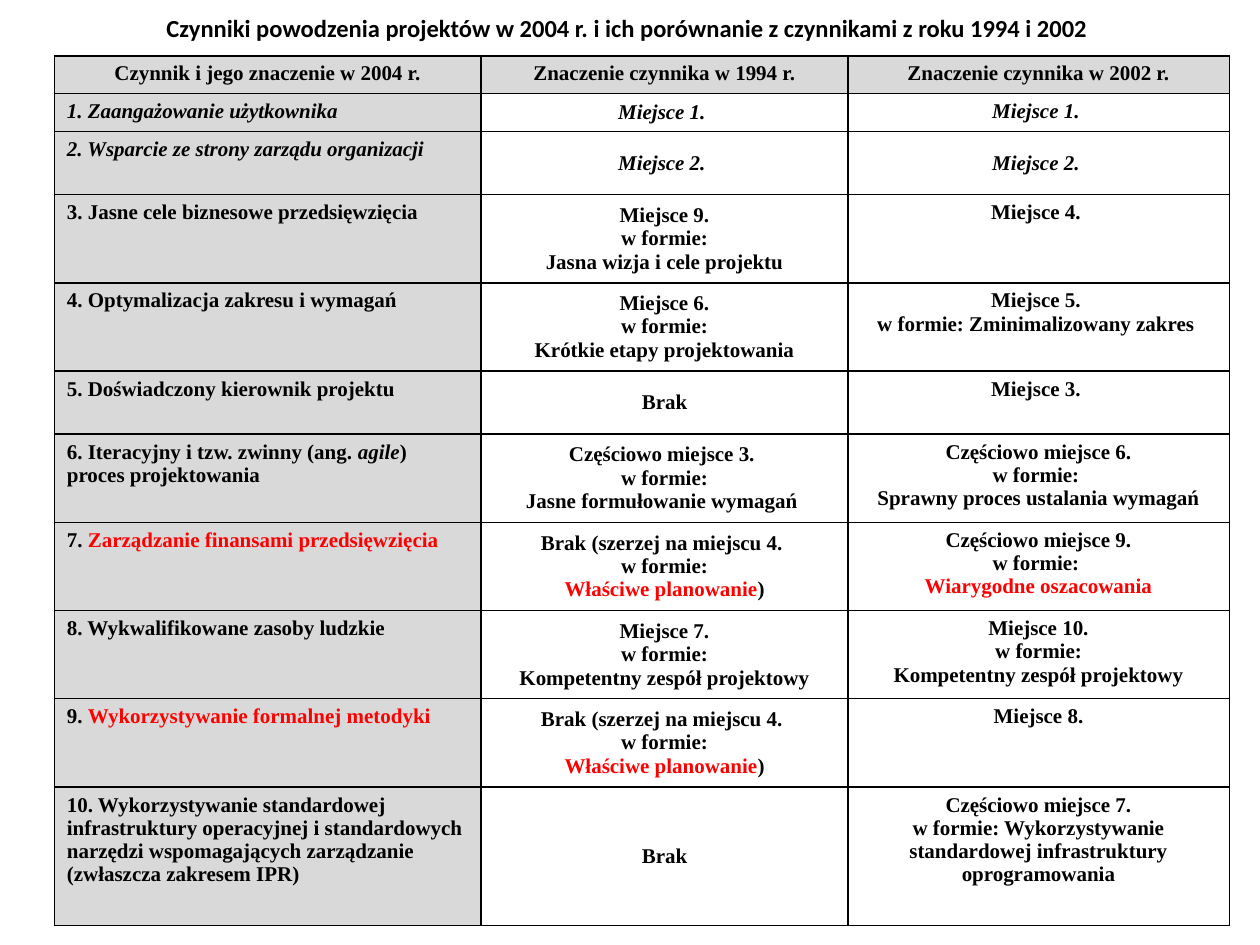
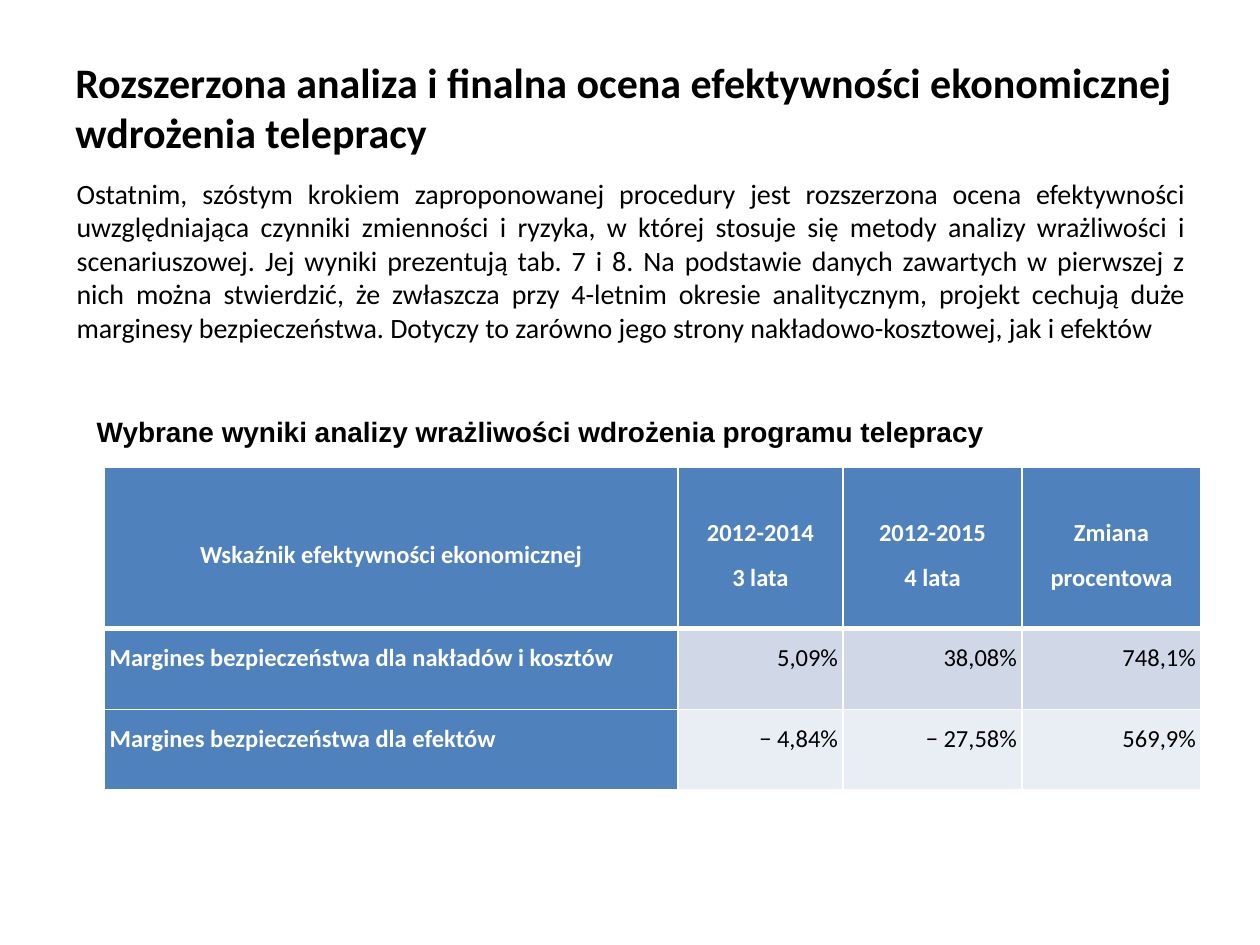
from pptx import Presentation
from pptx.dml.color import RGBColor
from pptx.enum.text import MSO_ANCHOR, PP_ALIGN
from pptx.oxml.ns import qn
from pptx.util import Pt
from lxml import etree

TOP, MIDDLE = MSO_ANCHOR.TOP, MSO_ANCHOR.MIDDLE
LEFT, CENTER, RIGHT, JUSTIFY = PP_ALIGN.LEFT, PP_ALIGN.CENTER, PP_ALIGN.RIGHT, PP_ALIGN.JUSTIFY
BLACK = RGBColor(0x00, 0x00, 0x00)
WHITE = RGBColor(0xFF, 0xFF, 0xFF)
RED = RGBColor(0xFF, 0x00, 0x00)
GREY = RGBColor(0xD9, 0xD9, 0xD9)
BLUE = RGBColor(0x4F, 0x81, 0xBD)
BAND_FILLS = [RGBColor(0xD0, 0xD8, 0xE8), RGBColor(0xE9, 0xED, 0xF4)]
BLANK_LAYOUT = 6

# In factor texts, *...* is italic, ^...^ is red and a line break starts a paragraph.
FACTORS_TITLE = "Czynniki powodzenia projektów w 2004 r. i ich porównanie z czynnikami z roku 1994 i 2002 "
FACTORS = [
    ("Czynnik i jego znaczenie w 2004 r.", "Znaczenie czynnika w 1994 r.",
     "Znaczenie czynnika w 2002 r."),
    ("*1. Zaangażowanie użytkownika*", "*Miejsce 1. *", "*Miejsce 1. *"),
    ("*2. Wsparcie ze strony zarządu organizacji*", "*Miejsce 2. *", "*Miejsce 2. *"),
    ("3. Jasne cele biznesowe przedsięwzięcia",
     "Miejsce 9.\nw formie:\nJasna wizja i cele projektu", "Miejsce 4. "),
    ("4. Optymalizacja zakresu i wymagań",
     "Miejsce 6.\nw formie:\nKrótkie etapy projektowania",
     "Miejsce 5. \nw formie: Zminimalizowany zakres "),
    ("5. Doświadczony kierownik projektu", "Brak", "Miejsce 3. "),
    ("6. Iteracyjny i tzw. zwinny (ang. *agile*) proces projektowania",
     "Częściowo miejsce 3. \nw formie:\nJasne formułowanie wymagań ",
     "Częściowo miejsce 6.\nw formie: \nSprawny proces ustalania wymagań"),
    ("7. ^Zarządzanie finansami przedsięwzięcia^",
     "Brak (szerzej na miejscu 4. \nw formie:\n^Właściwe planowanie^)",
     "Częściowo miejsce 9.\nw formie: \n^Wiarygodne oszacowania^"),
    ("8. Wykwalifikowane zasoby ludzkie",
     "Miejsce 7.\nw formie:\nKompetentny zespół projektowy",
     "Miejsce 10.\nw formie:\nKompetentny zespół projektowy"),
    ("9. ^Wykorzystywanie formalnej metodyki^",
     "Brak (szerzej na miejscu 4. \nw formie:\n^Właściwe planowanie^)", "Miejsce 8."),
    ("10. Wykorzystywanie standardowej infrastruktury operacyjnej i standardowych "
     "narzędzi wspomagających zarządzanie (zwłaszcza zakresem IPR)", "Brak",
     "Częściowo miejsce 7.\nw formie: Wykorzystywanie standardowej infrastruktury\noprogramowania"),
]
FACTOR_COLUMNS = [244, 209.5, 218]
ONE_LINE, SHORT, THREE_LINES, LAST = 21.6, 36, 50.4, 79.2
FACTOR_ROWS = [ONE_LINE] * 2 + [SHORT] + [THREE_LINES] * 2 + [SHORT] + [THREE_LINES] * 4 + [LAST]
CENTRED_2002_ROW = 2

TELEWORK_TITLE = "Rozszerzona analiza i finalna ocena efektywności ekonomicznej wdrożenia telepracy"
TELEWORK_TEXT = (
    "Ostatnim, szóstym krokiem zaproponowanej procedury jest rozszerzona ocena efektywności "
    "uwzględniająca czynniki zmienności i ryzyka, w której stosuje się metody analizy wrażliwości "
    "i scenariuszowej. Jej wyniki prezentują tab. 7 i 8. Na podstawie danych zawartych w pierwszej "
    "z nich można stwierdzić, że zwłaszcza przy 4-letnim okresie analitycznym, projekt cechują duże "
    "marginesy bezpieczeństwa. Dotyczy to zarówno jego strony nakładowo-kosztowej, jak i efektów")
MARGINS_CAPTION = "Wybrane wyniki analizy wrażliwości wdrożenia programu telepracy"
MARGINS = [
    ("Wskaźnik efektywności ekonomicznej", "2012-2014\n3 lata", "2012-2015\n4 lata",
     "Zmiana procentowa"),
    ("Margines bezpieczeństwa dla nakładów i kosztów", "5,09%", "38,08%", "748,1%"),
    ("Margines bezpieczeństwa dla efektów", "− 4,84%", "− 27,58%", "569,9%"),
]
MARGIN_COLUMNS = [327.5, 94.5, 102.25, 102.25]
MARGIN_ROWS = [92.2, 46.1, 46.1]

FACTOR_FONT = dict(name="Times New Roman", size=Pt(12), bold=True)
MARGIN_FONT = dict(name="Calibri", size=Pt(14))
FACTOR_INSETS = dict(margin_left=Pt(7.2), margin_right=Pt(7.2),
                     margin_top=Pt(3.6), margin_bottom=Pt(3.6))
MARGIN_INSETS = dict(margin_left=Pt(2.88), margin_right=Pt(2.88), margin_top=0, margin_bottom=0)


def set_all(target, values):
    for name, value in values.items():
        setattr(target, name, value)


def marked_pieces(line):
    """Yield (text, italic, red) for each stretch between * and ^ marks."""
    for i, part in enumerate(line.split("*")):
        for j, piece in enumerate(part.split("^")):
            if piece:
                yield piece, i % 2 == 1, j % 2 == 1


def write(frame, text, font, color=BLACK, align=LEFT, line_spacing=None):
    for n, line in enumerate(text.split("\n")):
        paragraph = frame.add_paragraph() if n else frame.paragraphs[0]
        paragraph.alignment = align
        paragraph.line_spacing = line_spacing
        for piece, italic, red in marked_pieces(line):
            run = paragraph.add_run()
            run.text = piece
            set_all(run.font, {**font, "italic": italic})
            run.font.color.rgb = RED if red else color


def add_text(slide, box, text, size, name="Calibri", bold=True, anchor=MIDDLE, align=LEFT):
    frame = slide.shapes.add_textbox(*map(Pt, box)).text_frame
    frame.word_wrap = True
    frame.vertical_anchor = anchor
    write(frame, text, dict(name=name, size=Pt(size), bold=bold), align=align)


def set_borders(cell, color, widths):
    properties = cell._tc.get_or_add_tcPr()
    for side, width in zip("LRTB", widths):
        line = etree.SubElement(properties, qn(f"a:ln{side}"), w=str(Pt(width)))
        fill = etree.SubElement(line, qn("a:solidFill"))
        etree.SubElement(fill, qn("a:srgbClr"), val=str(color))


def add_grid(slide, left, top, columns, rows):
    table = slide.shapes.add_table(len(rows), len(columns), Pt(left), Pt(top),
                                   Pt(sum(columns)), Pt(sum(rows))).table
    set_all(table, dict(first_row=False, horz_banding=False))
    for column, width in zip(table.columns, columns):
        column.width = Pt(width)
    for row, height in zip(table.rows, rows):
        row.height = Pt(height)
    return table


def fill_cell(cell, color):
    if color is None:
        cell.fill.background()
    else:
        cell.fill.solid()
        cell.fill.fore_color.rgb = color


def add_factors_slide(slide):
    add_text(slide, (0, 0, 720, 31.7), FACTORS_TITLE, 14, align=CENTER)
    table = add_grid(slide, 31, 31.9, FACTOR_COLUMNS, FACTOR_ROWS)
    for r, row in enumerate(FACTORS):
        for c, text in enumerate(row):
            cell = table.cell(r, c)
            centred = r > 0 and (c == 1 or (c == 2 and r == CENTRED_2002_ROW))
            set_all(cell, {**FACTOR_INSETS, "vertical_anchor": MIDDLE if centred else TOP})
            set_borders(cell, BLACK, (1, 1, 1, 1))
            fill_cell(cell, GREY if r == 0 or c == 0 else None)
            write(cell.text_frame, text, FACTOR_FONT,
                  align=LEFT if r > 0 and c == 0 else CENTER)


def add_telework_slide(slide):
    add_text(slide, (36, 21.6, 648, 78.5), TELEWORK_TITLE, 24)
    add_text(slide, (36.7, 97.2, 648, 110.9), TELEWORK_TEXT, 16,
             bold=False, anchor=TOP, align=JUSTIFY)
    table = add_grid(slide, 59.8, 267.1, MARGIN_COLUMNS, MARGIN_ROWS)
    for r, row in enumerate(MARGINS):
        for c, text in enumerate(row):
            cell = table.cell(r, c)
            heading = r == 0 or c == 0
            set_all(cell, {**MARGIN_INSETS, "vertical_anchor": TOP if r else MIDDLE})
            set_borders(cell, WHITE, (1, 1, 3 if r == 1 else 1, 1 if r else 3))
            fill_cell(cell, BLUE if heading else BAND_FILLS[r - 1])
            align = CENTER if r == 0 else LEFT if c == 0 else RIGHT
            write(cell.text_frame, text, {**MARGIN_FONT, "bold": heading},
                  WHITE if heading else BLACK, align, line_spacing=1.5)
    add_text(slide, (48.2, 233.3, 629.3, 26.6), MARGINS_CAPTION, 16, name="Arial")


def main():
    deck = Presentation()
    set_all(deck, dict(slide_width=Pt(720), slide_height=Pt(540)))
    for build in (add_factors_slide, add_telework_slide):
        build(deck.slides.add_slide(deck.slide_layouts[BLANK_LAYOUT]))
    deck.save("out.pptx")


if __name__ == "__main__":
    main()
